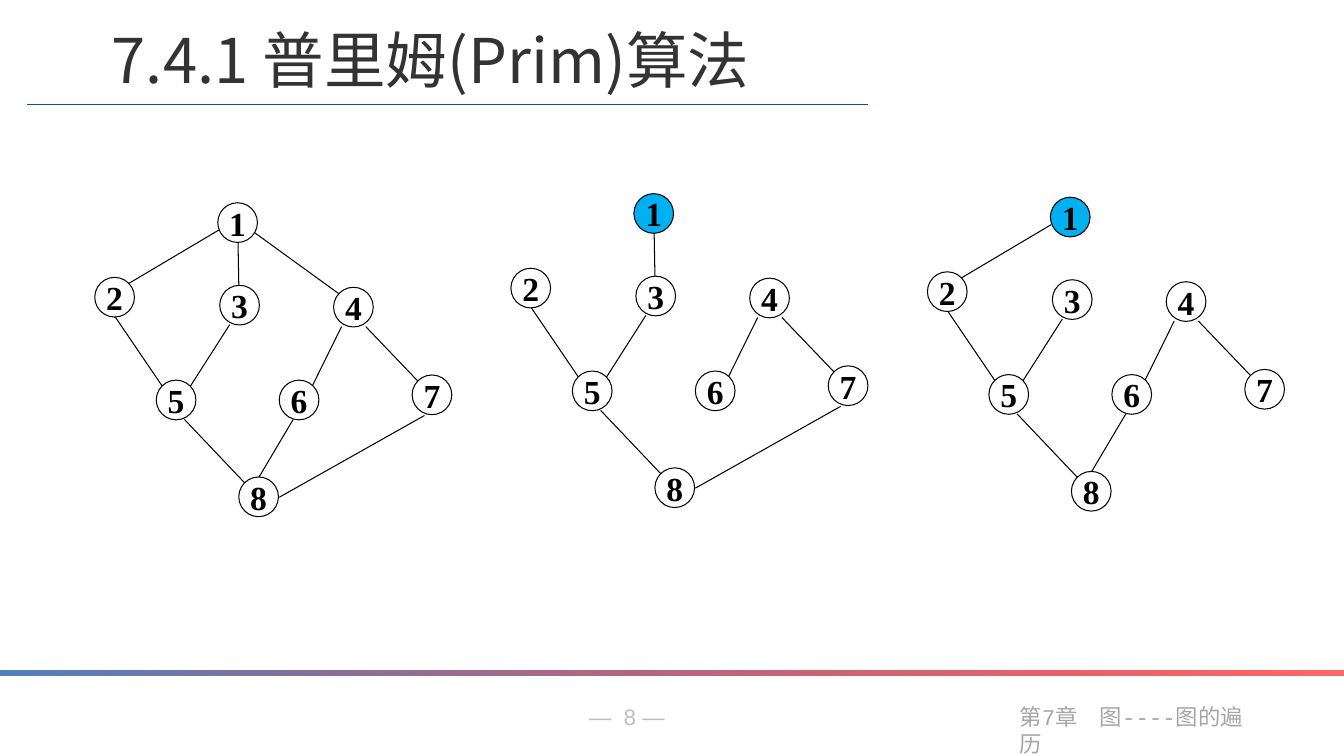
from lxml import etree
from pptx import Presentation
from pptx.dml.color import RGBColor
from pptx.enum.shapes import MSO_CONNECTOR, MSO_SHAPE
from pptx.enum.text import MSO_ANCHOR, MSO_AUTO_SIZE, PP_ALIGN
from pptx.oxml.ns import qn
from pptx.util import Cm, Pt

STRAIGHT = MSO_CONNECTOR.STRAIGHT
OVAL, RECTANGLE = MSO_SHAPE.OVAL, MSO_SHAPE.RECTANGLE
CJK_FONT = "Noto Sans CJK SC"
BLACK, VISITED = "000000", "00B0F0"
PAGE_WIDTH, PAGE_HEIGHT = 33.88, 19.05
NODE_SIZE = 1.0

# text, (left, top, width, height) in cm, font, size, colour
TEXTS = [
    ("—  8 —", (14.6, 17.6, 4.83, 0.94), "Arial", 16, "BFBFBF"),
    ("第7章　图----图的遍历", (25.45, 17.6, 6.6, 0.94), "Courier New", 16, "A6A6A6"),
    ("7.4.1 普里姆(Prim)算法", (2.57, 0.43, 19.02, 2.13), CJK_FONT, 44, "333333"),
]

# Left and top of each node, in cm from the corner of its graph
NODES = {
    1: (3.1, 0), 2: (0, 1.88), 3: (3.15, 2.08), 4: (6.02, 2.13),
    5: (1.55, 4.47), 6: (4.65, 4.47), 7: (8, 4.34), 8: (3.63, 6.91),
}

# Start and end of each edge, in cm from the corner of its graph
EDGES = {
    (1, 2): (3.12, 0.69, 0.86, 2.03),
    (2, 5): (0.51, 2.87, 1.7, 4.62),
    (5, 8): (2.26, 5.46, 3.78, 7.06),
    (1, 3): (3.61, 1, 3.63, 2.08),
    (1, 4): (4.01, 0.74, 6.15, 2.29),
    (3, 5): (3.4, 3.07, 2.41, 4.62),
    (6, 8): (5, 5.46, 4.14, 6.91),
    (7, 8): (8.31, 5.36, 4.65, 7.42),
    (4, 6): (6.22, 3.12, 5.49, 4.6),
    (4, 7): (6.83, 3.12, 8.15, 4.5),
}

# Corner of each graph, edges left out, visited nodes
GRAPHS = [
    ((2.39, 5.11), set(), set()),
    ((12.88, 4.88), {(1, 2), (1, 4), (6, 8)}, {1}),
    ((23.38, 4.97), {(1, 3), (1, 4), (7, 8)}, {1}),
]


def color(value):
    return RGBColor.from_string(value)


def add_span(para, text, font, size, value, bold=False):
    span = para.add_run()
    span.text = text
    span.font.name = font
    span.font.size = Pt(size)
    span.font.bold = bold
    span.font.color.rgb = color(value)
    east_asian = etree.SubElement(span.font._element, qn("a:ea"))
    east_asian.set("typeface", CJK_FONT)


def add_text(page, text, area, font, size, value):
    box = page.shapes.add_textbox(*map(Cm, area))
    box.text_frame.word_wrap = True
    box.text_frame.auto_size = MSO_AUTO_SIZE.SHAPE_TO_FIT_TEXT
    add_span(box.text_frame.paragraphs[0], text, font, size, value)


def add_line(page, ends, value, width):
    line = page.shapes.add_connector(STRAIGHT, *map(Cm, ends))
    line.line.color.rgb = color(value)
    line.line.width = Pt(width)
    etree.SubElement(line._element.spPr, qn("a:effectLst"))


def add_footer_band(page):
    band = page.shapes.add_shape(RECTANGLE, 0, Cm(16.89), Cm(PAGE_WIDTH), Cm(0.14))
    band.shadow.inherit = False
    band.line.fill.background()
    band.fill.gradient()
    band.fill.gradient_angle = 0
    for stop, value in zip(band.fill.gradient_stops, ("4F81BD", "FF0000")):
        stop.color.rgb = color(value)
    last_color = list(band._element.spPr.iter(qn("a:srgbClr")))[-1]
    etree.SubElement(last_color, qn("a:alpha")).set("val", "60000")


def add_node(page, number, left, top, visited):
    node = page.shapes.add_shape(OVAL, Cm(left), Cm(top), Cm(NODE_SIZE), Cm(NODE_SIZE))
    node.shadow.inherit = False
    if visited:
        node.fill.solid()
        node.fill.fore_color.rgb = color(VISITED)
    else:
        node.fill.background()
    node.line.color.rgb = color(BLACK)
    node.line.width = Pt(0.75)
    frame = node.text_frame
    frame.word_wrap = False
    frame.vertical_anchor = MSO_ANCHOR.MIDDLE
    para = frame.paragraphs[0]
    para.alignment = PP_ALIGN.CENTER
    add_span(para, str(number), "Times New Roman", 24, BLACK, bold=True)


def add_graph(page, corner, left_out, visited):
    x, y = corner
    for number, (left, top) in NODES.items():
        add_node(page, number, x + left, y + top, number in visited)
    for edge, (x1, y1, x2, y2) in EDGES.items():
        if edge not in left_out:
            add_line(page, (x + x1, y + y1, x + x2, y + y2), BLACK, 0.75)


def main():
    deck = Presentation()
    deck.slide_width, deck.slide_height = Cm(PAGE_WIDTH), Cm(PAGE_HEIGHT)
    page = deck.slides.add_slide(deck.slide_layouts[6])
    for text in TEXTS:
        add_text(page, *text)
    add_line(page, (0.69, 2.64, 21.89, 2.64), "1F497D", 1)
    add_footer_band(page)
    for graph in GRAPHS:
        add_graph(page, *graph)
    deck.save("out.pptx")


if __name__ == "__main__":
    main()
